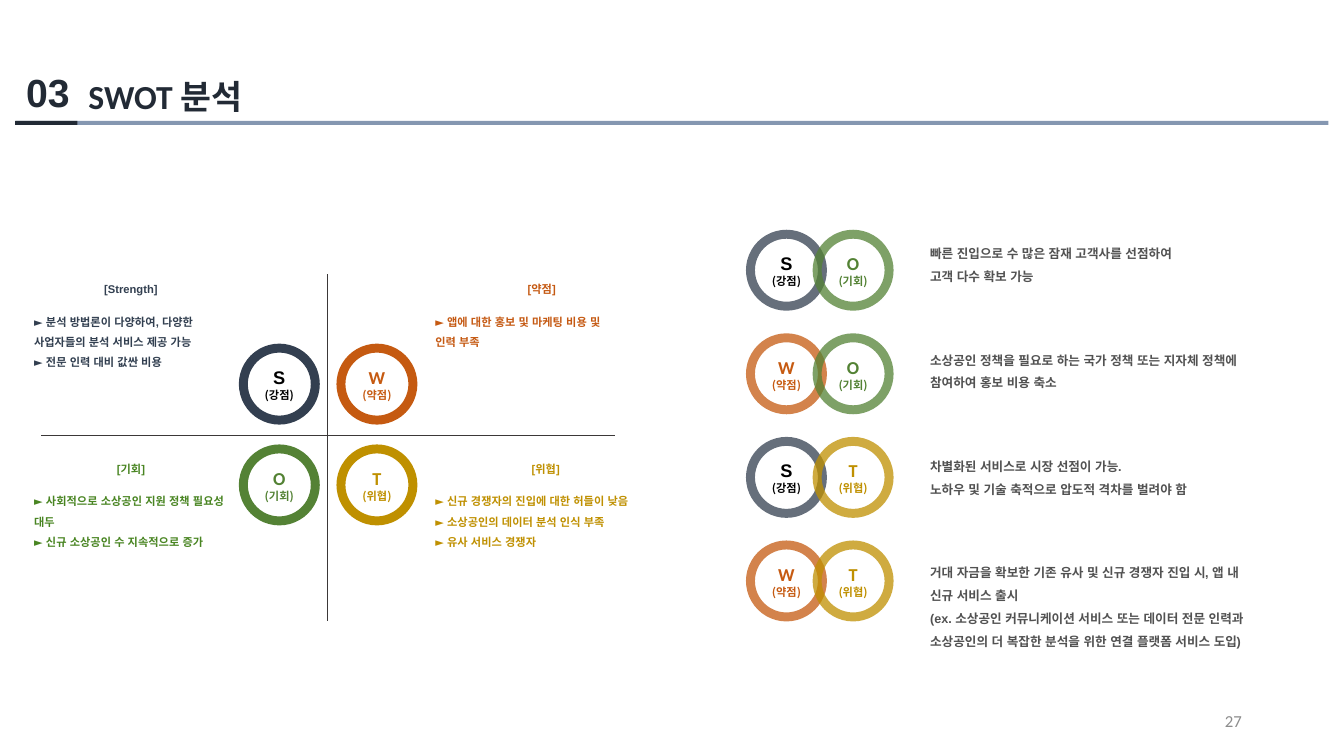
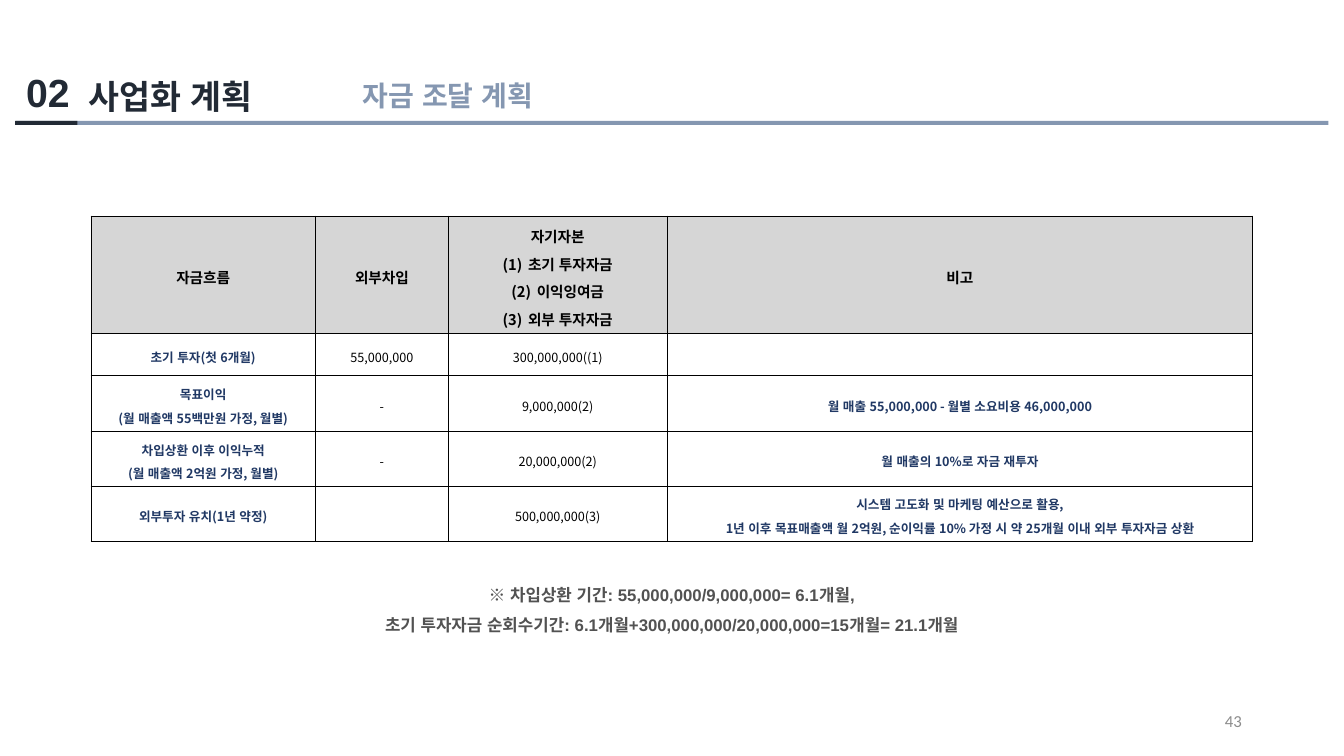
"""Build two business plan slides: a SWOT analysis and a funding plan."""
import dataclasses

import lxml.etree
import pptx
import pptx.dml.color
import pptx.enum.lang
import pptx.enum.shapes
import pptx.enum.text
import pptx.oxml.ns
import pptx.util

Cm = pptx.util.Cm
Pt = pptx.util.Pt
RGB = pptx.dml.color.RGBColor.from_string
qn = pptx.oxml.ns.qn
SHAPE = pptx.enum.shapes.MSO_SHAPE
ALIGN = pptx.enum.text.PP_ALIGN
MIDDLE = pptx.enum.text.MSO_ANCHOR.MIDDLE
KOREAN = pptx.enum.lang.MSO_LANGUAGE_ID.KOREAN


@dataclasses.dataclass(frozen=True)
class Theme:
    dark: str = "222A35"
    accent: str = "8597B1"
    axis: str = "3B3838"
    body: str = "525252"
    page: str = "8C8C8C"
    black: str = "000000"
    navy: str = "203864"
    header: str = "D6D6D6"
    latin: str = "Arial"
    title: str = "Calibri"
    korean: str = "Noto Sans CJK KR"
    number_size: float = 28
    title_size: float = 24
    subtitle_size: float = 20
    letter_size: float = 13
    note_size: float = 12
    header_size: float = 10.5
    text_size: float = 9
    small_size: float = 8


T = Theme()
SWOT = {
    "S": ("강점", "333F50", T.black, T.latin),
    "W": ("약점", "C55A11", "C65A11", T.title),
    "O": ("기회", "548235", "538234", T.title),
    "T": ("위협", "BF9000", "BF9001", T.title),
}


def write(tf, lines, name, size, color, bold=True, **para):
    """Fill a text frame with one formatted paragraph per line."""
    tf.word_wrap = True
    for i, line in enumerate(lines):
        p = tf.add_paragraph() if i else tf.paragraphs[0]
        for key, value in para.items():
            setattr(p, key, value)
        r = p.add_run()
        r.text = line
        fmt = {"name": name, "size": Pt(size), "bold": bold, "language_id": KOREAN}
        for key, value in fmt.items():
            setattr(r.font, key, value)
        r.font.color.rgb = RGB(color)
        ea = lxml.etree.SubElement(r.font._element, qn("a:ea"))
        ea.set("typeface", T.korean)


def ring(shapes, left, top, letter, opacity=100):
    """Draw a labelled SWOT ring."""
    label, fill, color, font = SWOT[letter]
    sp = shapes.add_shape(SHAPE.DONUT, Cm(left), Cm(top), Cm(2.04), Cm(2.04))
    sp.adjustments[0] = 0.111
    sp.shadow.inherit = False
    sp.line.fill.background()
    sp.fill.solid()
    sp.fill.fore_color.rgb = RGB(fill)
    if opacity < 100:
        clr = sp._element.spPr.find(qn("a:solidFill")).find(qn("a:srgbClr"))
        lxml.etree.SubElement(clr, qn("a:alpha")).set("val", str(opacity * 1000))
    tf = sp.text_frame
    write(tf, [letter, f"({label})"], font, T.letter_size, color, alignment=ALIGN.CENTER)
    frame = {"vertical_anchor": MIDDLE, "word_wrap": False, "margin_left": 0,
             "margin_right": 0, "margin_top": 0, "margin_bottom": 0}
    for key, value in frame.items():
        setattr(tf, key, value)
    r = tf.paragraphs[1].runs[0]
    r.font.size = Pt(T.small_size)
    r.font.name = T.korean


prs = pptx.Presentation()
prs.slide_width, prs.slide_height = Cm(33.87), Cm(19.05)

slides = []
for number, title, page in [("03", "SWOT 분석", "27"), ("02", "사업화 계획", "43")]:
    s = prs.slides.add_slide(prs.slide_layouts[6])
    slides.append(s)
    for left, width, color in [(0.41, 33.07, T.accent), (0.38, 1.57, T.dark)]:
        sp = s.shapes.add_shape(SHAPE.RECTANGLE, Cm(left), Cm(3.05), Cm(width), Cm(0.1))
        sp.shadow.inherit = False
        sp.line.fill.background()
        sp.fill.solid()
        sp.fill.fore_color.rgb = RGB(color)
    sp = s.shapes.add_textbox(Cm(0.41), Cm(1.6), Cm(1.7), Cm(1.45))
    write(sp.text_frame, [number], T.latin, T.number_size, T.dark)
    sp = s.shapes.add_textbox(Cm(1.98), Cm(1.78), Cm(6.5), Cm(1.27))
    write(sp.text_frame, [title], T.title, T.title_size, T.dark)
    sp = s.shapes.add_textbox(Cm(23.93), Cm(17.65), Cm(7.62), Cm(1.02))
    sp.text_frame.vertical_anchor = MIDDLE
    write(sp.text_frame, [page], T.title, T.note_size, T.page, False, alignment=ALIGN.RIGHT)

swot, funding = slides

for x1, y1, x2, y2 in [(8.26, 6.91, 8.26, 15.65), (15.49, 10.97, 1.04, 10.97)]:
    sp = swot.shapes.add_connector(
        pptx.enum.shapes.MSO_CONNECTOR.STRAIGHT, Cm(x1), Cm(y1), Cm(x2), Cm(y2))
    sp.line.color.rgb = RGB(T.axis)
    sp.line.width = Pt(1)
    lxml.etree.SubElement(sp._element.spPr, qn("a:effectLst"))

for i, letter in enumerate("SWOT"):
    ring(swot.shapes, 6.02 + 2.46 * (i % 2), 8.66 + 2.54 * (i // 2), letter)

quadrants = [
    (0.61, 6.83, 5.38, "323F50", [
        "[Strength]",
        "► 분석 방법론이 다양하여, 다양한 사업자들의 분석 서비스 제공 가능",
        "► 전문 인력 대비 값싼 비용"]),
    (10.72, 6.83, 5.87, "C55912", [
        "[약점]",
        "► 앱에 대한 홍보 및 마케팅 비용 및",
        "인력 부족"]),
    (0.61, 11.35, 5.38, "498522", [
        "[기회]",
        "► 사회적으로 소상공인 지원 정책 필요성 대두",
        "► 신규 소상공인 수 지속적으로 증가"]),
    (10.72, 11.35, 6.07, "BF9001", [
        "[위협]",
        "► 신규 경쟁자의 진입에 대한 허들이 낮음",
        "► 소상공인의 데이터 분석 인식 부족",
        "► 유사 서비스 경쟁자"]),
]
for left, top, width, color, lines in quadrants:
    sp = swot.shapes.add_textbox(Cm(left), Cm(top), Cm(width), Cm(2.77))
    write(sp.text_frame, lines, T.latin, T.small_size, color, line_spacing=1.5)
    p = sp.text_frame.paragraphs[0]
    p.alignment = ALIGN.CENTER
    p.space_after = Pt(9)

strategies = [
    ("SO", ["빠른 진입으로 수 많은 잠재 고객사를 선점하여", "고객 다수 확보 가능"]),
    ("WO", ["소상공인 정책을 필요로 하는 국가 정책 또는 지자체 정책에 참여하여 홍보 비용 축소"]),
    ("ST", ["차별화된 서비스로 시장 선점이 가능.",
            "노하우 및 기술 축적으로 압도적 격차를 벌려야 함"]),
    ("WT", ["거대 자금을 확보한 기존 유사 및 신규 경쟁자 진입 시, 앱 내 신규 서비스 출시",
            "(ex. 소상공인 커뮤니케이션 서비스 또는 데이터 전문 인력과 "
            "소상공인의 더 복잡한 분석을 위한 연결 플랫폼 서비스 도입)"]),
]
for i, (pair, lines) in enumerate(strategies):
    grp = swot.shapes.add_group_shape()
    for j, letter in enumerate(pair):
        ring(grp.shapes, 18.8 + 1.68 * j, 5.79 + 2.61 * i, letter, 75)
    sp = swot.shapes.add_textbox(Cm(23.19), Cm(5.89 + 2.68 * i), Cm(8.48), Cm(1.35))
    write(sp.text_frame, lines, T.latin, T.text_size, T.body, line_spacing=1.5)

sp = funding.shapes.add_textbox(Cm(8.89), Cm(1.85), Cm(6.1), Cm(1.12))
write(sp.text_frame, ["자금 조달 계획"], T.title, T.subtitle_size, T.accent)

rows = [
    ["자금흐름", "외부차입", "자기자본\n초기 투자자금\n이익잉여금\n외부 투자자금", "비고"],
    ["초기 투자(첫 6개월)", "55,000,000", "300,000,000((1)", ""],
    ["목표이익\n(월 매출액 55백만원 가정, 월별)", "-", "9,000,000(2)",
     "월 매출 55,000,000 - 월별 소요비용 46,000,000"],
    ["차입상환 이후 이익누적\n(월 매출액 2억원 가정, 월별)", "-", "20,000,000(2)",
     "월 매출의 10%로 자금 재투자"],
    ["외부투자 유치(1년 약정)", "", "500,000,000(3)",
     "시스템 고도화 및 마케팅 예산으로 활용,\n"
     "1년 이후 목표매출액 월 2억원, 순이익률 10% 가정 시 약 25개월 이내 외부 투자자금 상환"],
]
widths = [5.66, 3.35, 5.51, 14.76]
heights = [2.95, 1.07, 1.4, 1.4, 1.37]
table = funding.shapes.add_table(
    len(rows), len(widths), Cm(2.29), Cm(5.44), Cm(sum(widths)), Cm(sum(heights))).table
table.first_row = table.horz_banding = False
for column, width in zip(table.columns, widths):
    column.width = Cm(width)
for i, (row, height) in enumerate(zip(rows, heights)):
    table.rows[i].height = Cm(height)
    for j, text in enumerate(row):
        cell = table.cell(i, j)
        cell.vertical_anchor = MIDDLE
        for side in ("left", "right", "top", "bottom"):
            setattr(cell, f"margin_{side}", Cm(0.05))
        tcPr = cell._tc.get_or_add_tcPr()
        for edge in ("a:lnL", "a:lnR", "a:lnT", "a:lnB"):
            ln = lxml.etree.SubElement(tcPr, qn(edge), w=str(Pt(0.5)))
            fill = lxml.etree.SubElement(ln, qn("a:solidFill"))
            lxml.etree.SubElement(fill, qn("a:srgbClr"), val=T.black)
        if i == 0:
            cell.fill.solid()
            cell.fill.fore_color.rgb = RGB(T.header)
            style = (T.header_size, T.black, True)
        else:
            cell.fill.background()
            amount = j in (1, 2)
            style = (T.text_size, T.black if amount else T.navy, not amount)
        if text:
            write(cell.text_frame, text.split("\n"), T.korean, *style,
                  alignment=ALIGN.CENTER, line_spacing=1.3)

for p in table.cell(0, 2).text_frame.paragraphs[1:]:
    pPr = p._p.get_or_add_pPr()
    pPr.set("marL", str(Cm(0.64)))
    pPr.set("indent", str(Cm(-0.64)))
    lxml.etree.SubElement(pPr, qn("a:buAutoNum"), type="arabicParenBoth")

sp = funding.shapes.add_textbox(Cm(2.29), Cm(14.35), Cm(29.28), Cm(1.7))
write(sp.text_frame, [
    "※ 차입상환 기간: 55,000,000/9,000,000= 6.1개월,",
    "초기 투자자금 순회수기간: 6.1개월+300,000,000/20,000,000=15개월= 21.1개월",
], T.latin, T.note_size, T.body, alignment=ALIGN.CENTER, line_spacing=1.5)

prs.save("out.pptx")
